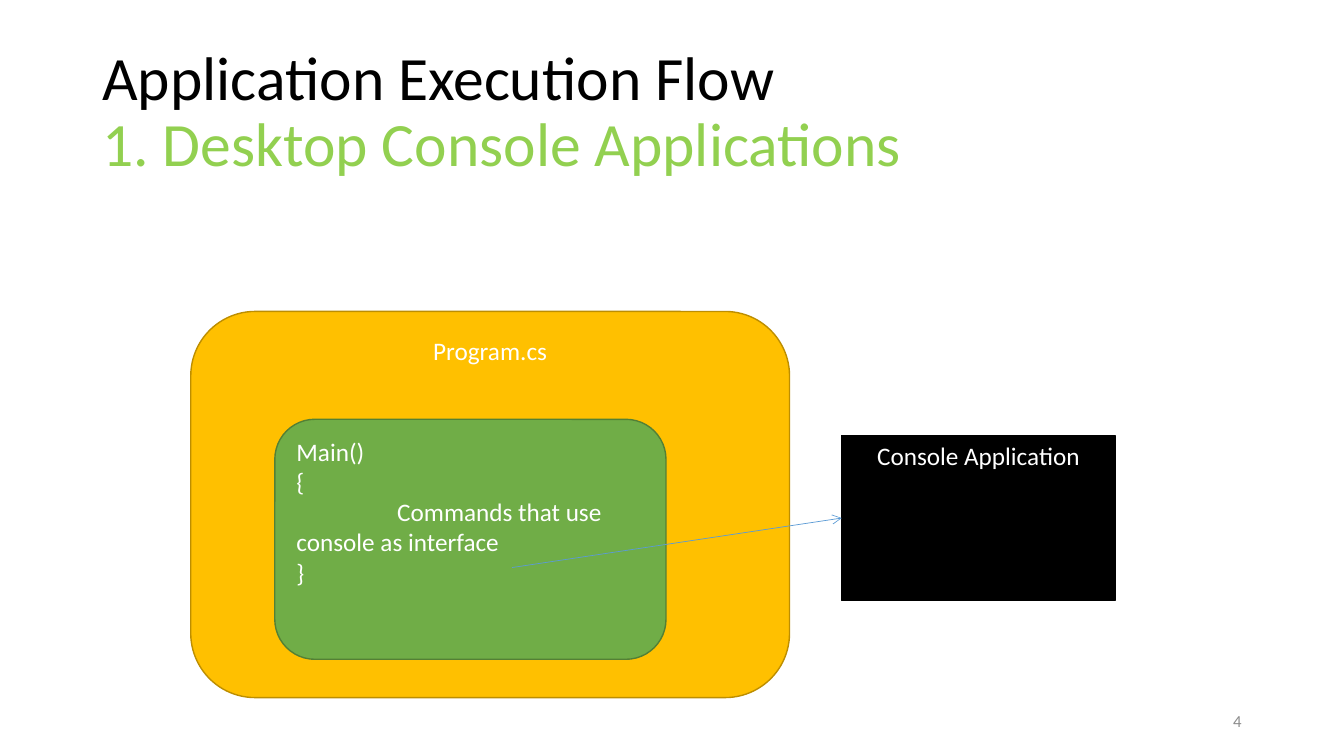
import pptx
import pptx.util
import pptx.dml.color
import pptx.enum.shapes
import pptx.enum.text
import pptx.oxml
import pptx.oxml.ns

Pt = pptx.util.Pt
ALIGN = pptx.enum.text.PP_ALIGN
ANCHOR = pptx.enum.text.MSO_ANCHOR
SHAPE = pptx.enum.shapes.MSO_SHAPE

THEME = {
    "font": "Calibri",
    "title_size": 44, "body_size": 18, "number_size": 12,
    "black": "000000", "white": "FFFFFF", "lime": "92D050", "grey": "8C8C8C",
    "amber": "FFC000", "amber_line": "BD8E00",
    "green": "70AD47", "green_line": "538035", "blue": "5B9BD5",
}

TITLE = [("Application Execution Flow", "black"),
         ("1. Desktop Console Applications", "lime")]
TITLE_AREA = (66, 28.8, 828, 104.4)
PAGE_NUMBER = "4"
NUMBER_AREA = (678, 500.4, 216, 28.8)

CONSOLE_AREA = (601.2, 311, 195.4, 118.1)
BLOCKS = [
    (SHAPE.RECTANGLE, CONSOLE_AREA, "black", "black", ALIGN.CENTER,
     [("Console Application", 0)]),
    (SHAPE.ROUNDED_RECTANGLE, (136.3, 222.5, 427.7, 275.8), "amber", "amber_line",
     ALIGN.CENTER, [("Program.cs", 0)]),
    (SHAPE.ROUNDED_RECTANGLE, (196.3, 299.5, 279.4, 171.4), "green", "green_line",
     ALIGN.LEFT, [("Main()", 0), ("{", 0),
                  ("Commands that use console as interface", 72), ("}", 0)]),
]
ARROW_START = (365.8, 405.4)


def color(name):
    return pptx.dml.color.RGBColor.from_string(THEME[name])


def points(values):
    return [Pt(value) for value in values]


def add_span(para, text, size, color_name):
    span = para.add_run()
    span.text = text
    span.font.name = THEME["font"]
    span.font.size = Pt(THEME[size])
    span.font.color.rgb = color(color_name)


def add_text_area(page, area, align):
    box = page.shapes.add_textbox(*points(area))
    box.text_frame.word_wrap = True
    box.text_frame.vertical_anchor = ANCHOR.MIDDLE
    para = box.text_frame.paragraphs[0]
    para.alignment = align
    return para


def add_block(page, kind, area, fill, line, align, lines):
    block = page.shapes.add_shape(kind, *points(area))
    block.shadow.inherit = False
    block.fill.solid()
    block.fill.fore_color.rgb = color(fill)
    block.line.color.rgb = color(line)
    block.line.width = Pt(1)
    frame = block.text_frame
    frame.word_wrap = True
    frame.vertical_anchor = ANCHOR.TOP
    for index, (text, indent) in enumerate(lines):
        para = frame.add_paragraph() if index else frame.paragraphs[0]
        para.alignment = align
        para._p.get_or_add_pPr().set("indent", str(Pt(indent)))
        add_span(para, text, "body_size", "white")


def add_arrow(page, start, end):
    arrow = page.shapes.add_connector(
        pptx.enum.shapes.MSO_CONNECTOR.STRAIGHT, *points(start + end))
    arrow.line.color.rgb = color("blue")
    arrow.line.width = Pt(0.5)
    tip = pptx.oxml.parse_xml(
        f'<a:tailEnd {pptx.oxml.ns.nsdecls("a")} type="arrow"/>')
    arrow.line._get_or_add_ln().append(tip)
    effects = pptx.oxml.parse_xml(f'<a:effectLst {pptx.oxml.ns.nsdecls("a")}/>')
    arrow._element.spPr.append(effects)


def main():
    deck = pptx.Presentation()
    deck.slide_width, deck.slide_height = Pt(960), Pt(540)
    page = deck.slides.add_slide(deck.slide_layouts[6])

    heading = add_text_area(page, TITLE_AREA, ALIGN.LEFT)
    heading.line_spacing = 0.9
    for index, (text, color_name) in enumerate(TITLE):
        if index:
            heading.add_line_break()
        add_span(heading, text, "title_size", color_name)

    number = add_text_area(page, NUMBER_AREA, ALIGN.RIGHT)
    add_span(number, PAGE_NUMBER, "number_size", "grey")

    for block in BLOCKS:
        add_block(page, *block)

    left, top, width, height = CONSOLE_AREA
    add_arrow(page, ARROW_START, (left, top + height / 2))
    deck.save("out.pptx")


if __name__ == "__main__":
    main()
